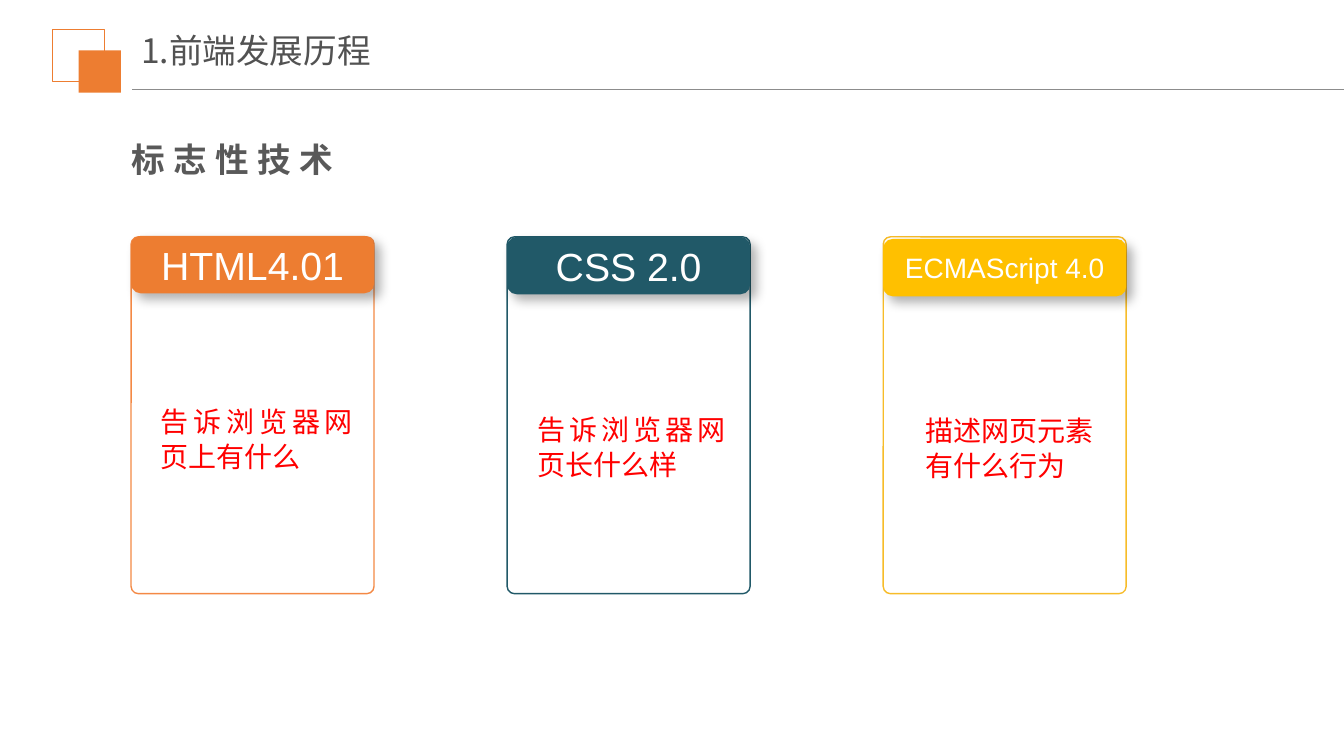
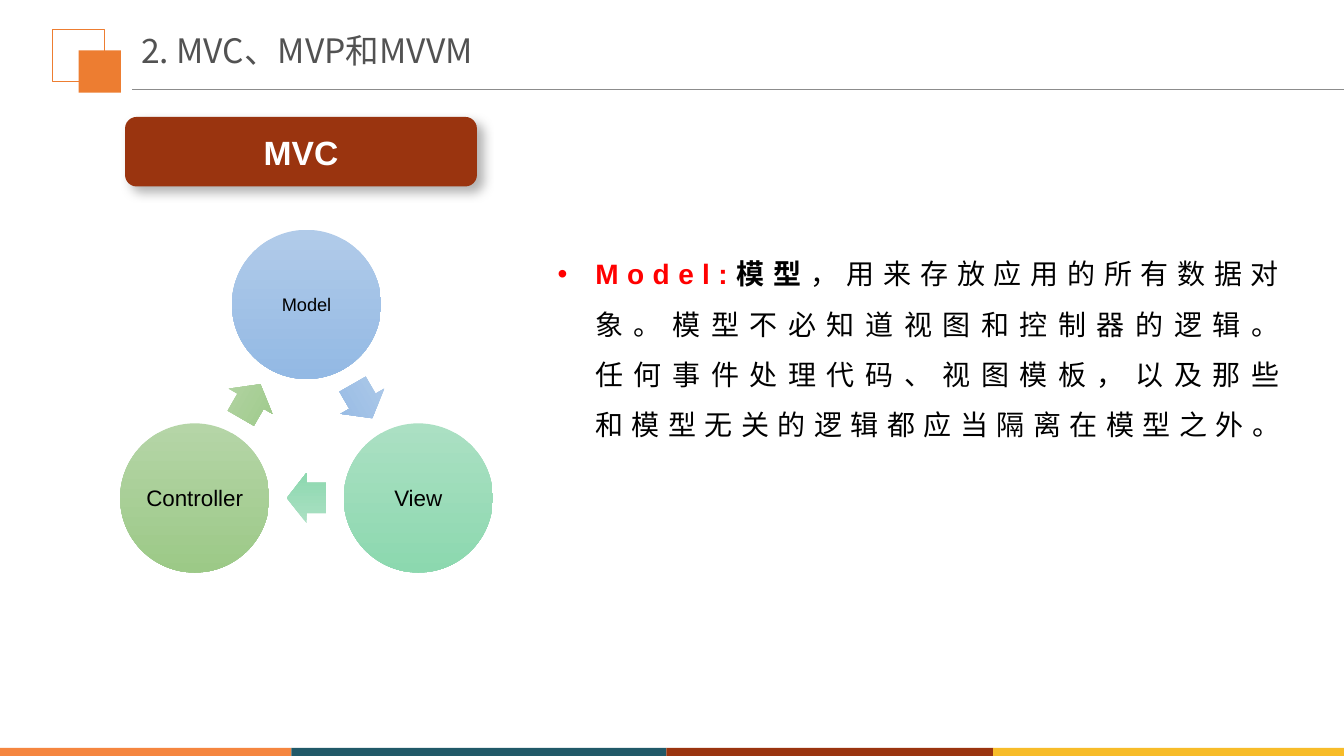
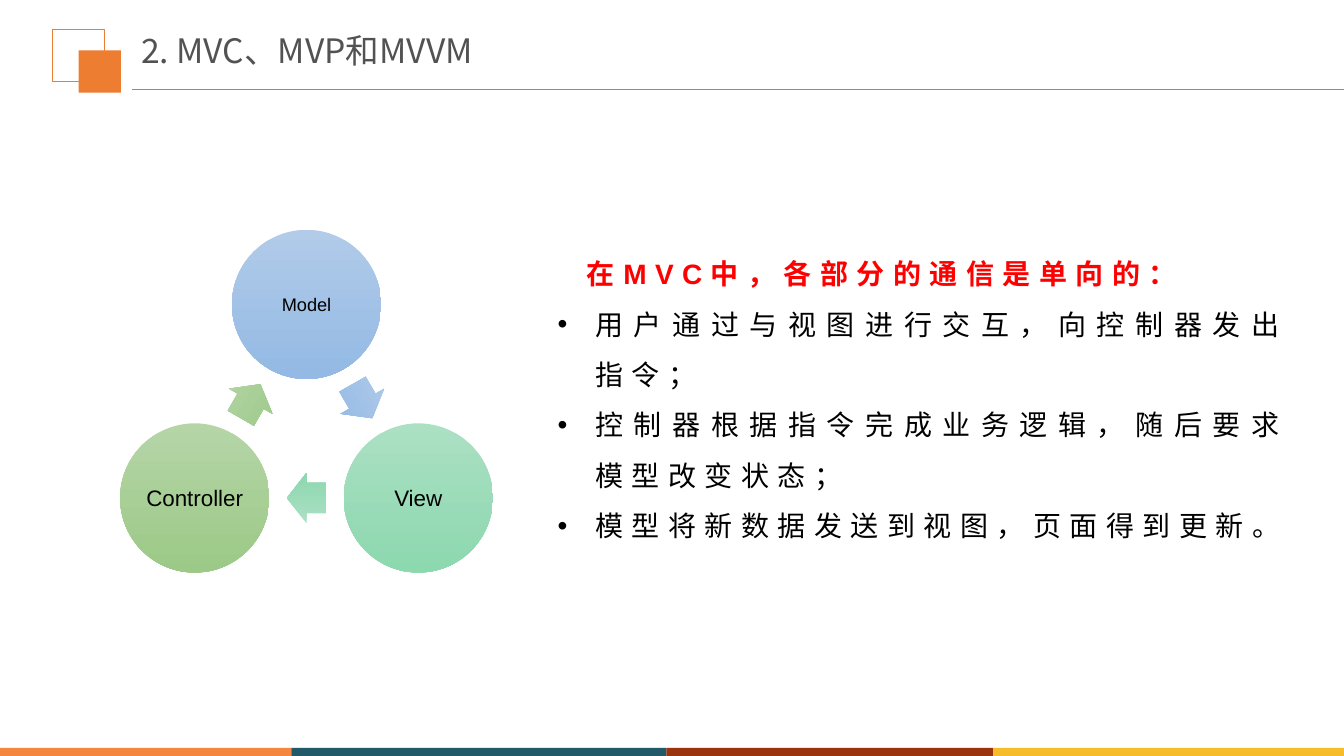
"""Build three slides on front-end history and the MVC pattern."""
from dataclasses import dataclass
from math import cos, radians, sin
from typing import Optional

from lxml.etree import SubElement
from pptx import Presentation
from pptx.dml.color import RGBColor
from pptx.enum.shapes import MSO_CONNECTOR as Connector, MSO_SHAPE as Preset
from pptx.enum.text import MSO_ANCHOR as Anchor, MSO_AUTO_SIZE as AutoSize, PP_ALIGN as Align
from pptx.oxml.ns import qn
from pptx.util import Inches, Pt

WIDTH, HEIGHT = 13.33, 7.5
LATIN, CJK = "Arial", "Noto Sans CJK SC"

WHITE = RGBColor(0xFF, 0xFF, 0xFF)
BLACK = RGBColor(0, 0, 0)
RED = RGBColor(0xFF, 0, 0)
RULE_GREY = RGBColor(0x8C, 0x8C, 0x8C)
TITLE_GREY = RGBColor(0x52, 0x52, 0x52)
SUBHEAD_GREY = RGBColor(0x59, 0x59, 0x59)
ORANGE = RGBColor(0xED, 0x7D, 0x31)
LIGHT_ORANGE = RGBColor(0xF4, 0x89, 0x45)
BAND_ORANGE = RGBColor(0xF5, 0x86, 0x3F)
TEAL = RGBColor(0x21, 0x59, 0x68)
RUST = RGBColor(0x9A, 0x34, 0x0F)
GOLD = RGBColor(0xF7, 0xBC, 0x29)
AMBER = RGBColor(0xFF, 0xC0, 0x00)

BANDS = [(0, BAND_ORANGE), (2.89, TEAL), (6.61, RUST), (9.85, GOLD)]

CARD_LEFT, CARD_STEP, CARD_TOP = 1.3, 3.73, 2.35
CARD_WIDTH, CARD_HEIGHT, CAP_HEIGHT = 2.41, 3.54, 0.57
NOTE_HEIGHT = 1.38

CYCLE_X, CYCLE_Y, CYCLE_RADIUS = 3.04, 4.3, 1.28
NODE_SIZE, ARROW_LENGTH, ARROW_WIDTH = 1.48, 0.39, 0.5


@dataclass(frozen=True)
class Card:
    name: str
    size: int
    cap: RGBColor
    border: RGBColor
    drop: float
    note: str
    note_box: tuple[float, float, float]
    note_align: Align


@dataclass(frozen=True)
class Node:
    name: str
    size: int
    light: RGBColor
    dark: RGBColor


@dataclass(frozen=True)
class Phrase:
    text: str
    color: RGBColor = BLACK
    bold: bool = False


@dataclass(frozen=True)
class Point:
    phrases: list[Phrase]
    bulleted: bool = True


CARDS = [
    Card("HTML4.01", 28, ORANGE, LIGHT_ORANGE, -0.01,
         "告诉浏览器网页上有什么", (1.49, 3.36, 2.11), Align.JUSTIFY),
    Card("CSS 2.0", 28, TEAL, TEAL, 0,
         "告诉浏览器网页长什么样", (5.23, 3.44, 2.07), Align.JUSTIFY),
    Card("ECMAScript 4.0", 20, AMBER, GOLD, 0.02,
         "描述网页元素有什么行为", (9.08, 3.45, 2.08), Align.LEFT),
]

NODES = [
    Node("Model", 13, RGBColor(0xB1, 0xCB, 0xE9), RGBColor(0x93, 0xB9, 0xE4)),
    Node("View", 16, RGBColor(0xAB, 0xE0, 0xC3), RGBColor(0x8C, 0xD8, 0xAF)),
    Node("Controller", 16, RGBColor(0xB5, 0xD5, 0xA7), RGBColor(0x9C, 0xC9, 0x87)),
]

MVC_TITLE = "2. MVC、MVP和MVVM"
MODEL_POINTS = [
    Point([
        Phrase("Model:", RED, True),
        Phrase("模型", BLACK, True),
        Phrase("，用来存放应用的所有数据对象。模型不必知道视图和控制器的逻辑。"
               "任何事件处理代码、视图模板，以及那些和模型无关的逻辑都应当隔离在模型之外。"),
    ]),
]
FLOW_POINTS = [
    Point([Phrase("在MVC中，各部分的通信是单向的：", RED, True)], bulleted=False),
    Point([Phrase("用户通过与视图进行交互，向控制器发出指令；")]),
    Point([Phrase("控制器根据指令完成业务逻辑，随后要求模型改变状态；")]),
    Point([Phrase("模型将新数据发送到视图，页面得到更新。")]),
]


def style(paragraph, size: int, color: Optional[RGBColor] = None, latin: str = LATIN,
          bold: Optional[bool] = None, spacing: int = 0) -> None:
    """Set the font shared by all runs of a paragraph."""
    font = paragraph.font
    font.size, font.name, font.bold = Pt(size), latin, bold
    if color is not None:
        font.color.rgb = color
    defaults = paragraph._p.get_or_add_pPr().get_or_add_defRPr()
    SubElement(defaults, qn("a:ea")).set("typeface", CJK)
    if spacing:
        defaults.set("spc", str(spacing * 100))


def add_block(slide, preset: Preset, left: float, top: float, width: float, height: float,
              fill: Optional[RGBColor] = None, line: Optional[RGBColor] = None,
              weight: float = 1):
    """Add a preset shape with a plain fill, outline or neither."""
    block = slide.shapes.add_shape(
        preset, Inches(left), Inches(top), Inches(width), Inches(height))
    block.shadow.inherit = False
    if fill is None:
        block.fill.background()
    else:
        block.fill.solid()
        block.fill.fore_color.rgb = fill
    if line is None:
        block.line.fill.background()
    else:
        block.line.color.rgb = line
        block.line.width = Pt(weight)
    return block


def add_label(block, text: str, size: int, color: RGBColor, bold: bool = False,
              inset: float = 0) -> None:
    """Write one centred line inside a shape."""
    frame = block.text_frame
    frame.margin_left = frame.margin_right = Inches(inset)
    frame.margin_top = frame.margin_bottom = Inches(inset)
    frame.vertical_anchor = Anchor.MIDDLE
    paragraph = frame.paragraphs[0]
    paragraph.text, paragraph.alignment = text, Align.CENTER
    style(paragraph, size, color, bold=bold)


def add_text(slide, text: str, left: float, top: float, width: float, height: float):
    """Add a wrapping text box and return its frame."""
    frame = slide.shapes.add_textbox(
        Inches(left), Inches(top), Inches(width), Inches(height)).text_frame
    frame.word_wrap = True
    frame.paragraphs[0].text = text
    return frame


def cast_shadow(block) -> None:
    """Give a shape a soft shadow to the lower right."""
    effects = block._element.spPr.find(qn("a:effectLst"))
    shadow = SubElement(effects, qn("a:outerShdw"), blurRad=str(Pt(8)), dist=str(Pt(6)),
                        dir=str(45 * 60000), algn="tl", rotWithShape="0")
    tint = SubElement(shadow, qn("a:srgbClr"), val="000000")
    SubElement(tint, qn("a:alpha"), val="30000")


def share(shapes: list, target) -> None:
    """Move shapes behind the placeholders of a master or layout."""
    for order, shape in enumerate(shapes):
        element = shape._element
        next(element.iter(qn("p:cNvPr"))).set("id", str(100 + order))
        target.shapes.element.insert(2 + order, element)


def share_header(slide, master) -> None:
    """Put the squares and the title rule on the master."""
    frame = add_block(slide, Preset.RECTANGLE, 0.52, 0.29, 0.52, 0.52, line=ORANGE, weight=0.75)
    square = add_block(slide, Preset.RECTANGLE, 0.78, 0.5, 0.42, 0.42, fill=ORANGE)
    rule = slide.shapes.add_connector(
        Connector.STRAIGHT, Inches(1.31), Inches(0.89), Inches(WIDTH), Inches(0.89))
    rule.line.color.rgb = RULE_GREY
    rule.line.width = Pt(0.75)
    SubElement(rule._element.spPr, qn("a:effectLst"))
    share([frame, square, rule], master)


def share_footer(slide, layout) -> None:
    """Put the coloured bands on the content layout."""
    ends = [start for start, _ in BANDS[1:]] + [WIDTH]
    share([add_block(slide, Preset.RECTANGLE, start, 7.42, end - start, HEIGHT - 7.42, fill=color)
           for (start, color), end in zip(BANDS, ends)], layout)


def add_titled_slide(deck, layout, text: str):
    """Add a slide and set its title."""
    slide = deck.slides.add_slide(layout)
    title = slide.shapes.title
    title.left, title.top = Inches(1.3), Inches(0.29)
    title.width, title.height = Inches(5.29), Inches(0.58)
    frame = title.text_frame
    frame.auto_size, frame.vertical_anchor = AutoSize.NONE, Anchor.TOP
    paragraph = frame.paragraphs[0]
    paragraph.text, paragraph.alignment, paragraph.line_spacing = text, Align.LEFT, 0.9
    style(paragraph, 24, TITLE_GREY, latin=CJK)
    return slide


def add_card(slide, column: int, card: Card) -> None:
    """Draw an outlined card with its cap and note."""
    left = CARD_LEFT + column * CARD_STEP
    body = add_block(slide, Preset.ROUNDED_RECTANGLE, left, CARD_TOP, CARD_WIDTH, CARD_HEIGHT,
                     line=card.border)
    body.adjustments[0] = 0.03
    cap = add_block(slide, Preset.ROUNDED_RECTANGLE, left, CARD_TOP + card.drop,
                    CARD_WIDTH, CAP_HEIGHT, fill=card.cap)
    cast_shadow(cap)
    add_label(cap, card.name, card.size, WHITE)
    note = add_text(slide, card.note, *card.note_box, NOTE_HEIGHT)
    note.vertical_anchor = Anchor.BOTTOM
    paragraph = note.paragraphs[0]
    paragraph.alignment, paragraph.line_spacing = card.note_align, Pt(25)
    style(paragraph, 20, RED)


def add_cycle(slide) -> None:
    """Draw the nodes on a circle with arrows between them."""
    step = 360 / len(NODES)

    def add_part(preset: Preset, node: Node, angle: float, radius: float,
                 width: float, height: float):
        x = CYCLE_X + radius * sin(radians(angle))
        y = CYCLE_Y - radius * cos(radians(angle))
        part = add_block(slide, preset, x - width / 2, y - height / 2, width, height)
        part.fill.gradient()
        part.fill.gradient_angle = 270
        for stop, color in zip(part.fill.gradient_stops, (node.light, node.dark)):
            stop.color.rgb = color
        return part

    for order, node in enumerate(NODES):
        angle = order * step
        circle = add_part(Preset.OVAL, node, angle, CYCLE_RADIUS, NODE_SIZE, NODE_SIZE)
        add_label(circle, node.name, node.size, BLACK, inset=0.02)
        halfway = angle + step / 2
        arrow = add_part(Preset.RIGHT_ARROW, node, halfway,
                         CYCLE_RADIUS * cos(radians(step / 2)), ARROW_LENGTH, ARROW_WIDTH)
        arrow.adjustments[0], arrow.adjustments[1] = 0.6, 0.5
        arrow.rotation = halfway


def fill_body(slide, points: list[Point], height: float) -> None:
    """Write the points into the body placeholder."""
    body = slide.placeholders[1]
    body.left, body.top = Inches(5.43), Inches(2.33)
    body.width, body.height = Inches(7.44), Inches(height)
    frame = body.text_frame
    frame.auto_size = AutoSize.NONE
    for order, point in enumerate(points):
        paragraph = frame.add_paragraph() if order else frame.paragraphs[0]
        paragraph.alignment, paragraph.line_spacing = Align.JUSTIFY, 1.5
        paragraph.space_before = Pt(0)
        if not point.bulleted:
            properties = paragraph._p.get_or_add_pPr()
            properties.set("marL", "0")
            properties.set("indent", str(Inches(0.29)))
            SubElement(properties, qn("a:buNone"))
        style(paragraph, 20, spacing=6)
        for phrase in point.phrases:
            run = paragraph.add_run()
            run.text, run.font.bold = phrase.text, phrase.bold
            run.font.color.rgb = phrase.color


def main() -> None:
    """Build and save the deck."""
    deck = Presentation()
    deck.slide_width, deck.slide_height = Inches(WIDTH), Inches(HEIGHT)
    content_layout, title_layout = deck.slide_layouts[1], deck.slide_layouts[5]

    history = add_titled_slide(deck, title_layout, "1.前端发展历程")
    share_header(history, deck.slide_master)
    subhead = add_text(history, "标志性技术", 1.21, 1.33, 5.2, 0.5)
    style(subhead.paragraphs[0], 24, SUBHEAD_GREY, bold=True, spacing=6)
    for column, card in enumerate(CARDS):
        add_card(history, column, card)

    model = add_titled_slide(deck, content_layout, MVC_TITLE)
    share_footer(model, content_layout)
    badge = add_block(model, Preset.ROUNDED_RECTANGLE, 1.24, 1.16, 3.49, 0.69, fill=RUST)
    cast_shadow(badge)
    add_label(badge, "MVC", 24, WHITE, bold=True)
    fill_body(model, MODEL_POINTS, 2.06)
    add_cycle(model)

    flow = add_titled_slide(deck, content_layout, MVC_TITLE)
    fill_body(flow, FLOW_POINTS, 3.57)
    add_cycle(flow)

    deck.save("out.pptx")


if __name__ == "__main__":
    main()
